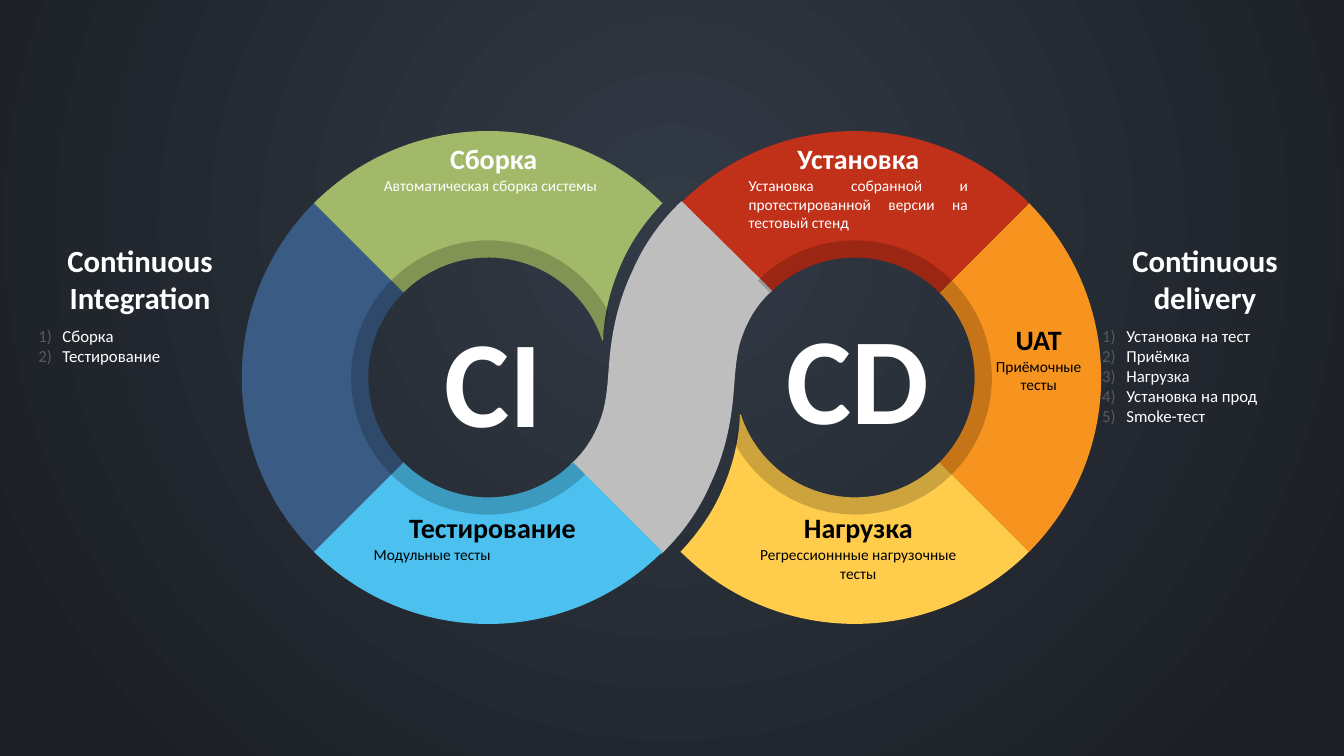
from math import cos, radians, sin, tan
from lxml.etree import SubElement
from pptx import Presentation
from pptx.dml.color import RGBColor
from pptx.enum.text import MSO_ANCHOR, MSO_AUTO_SIZE, PP_ALIGN
from pptx.oxml.ns import qn
from pptx.util import Inches, Pt

COLORS = {
    "center": "323A45", "edge": "1C2026", "white": "FFFFFF", "black": "000000",
    "marker": "595959", "build": "A2B969", "plan": "3A5C84", "test": "4CC1EF",
    "band": "BEBEBE", "install": "C13018", "uat": "F7931F", "load": "FFCC4C",
}
FONT = "Calibri"
INNER, SHADE = 1.19, 1.36
TAIL = [(1.74, -1.74), (1.56, -1.55), (1.41, -1.34), (1.31, -1.1),
        (1.21, -0.87), (1.15, -0.62), (1.14, -0.37)]
BAND_EDGE = [(-1, 0.86), (-0.84, 0.72), (-0.74, 0.54), (-0.68, 0.34), (-0.63, 0.15),
             (-0.63, -0.04), (-0.61, -0.23), (-0.58, -0.52), (-0.51, -0.8),
             (-0.39, -1.05), (-0.28, -1.31), (-0.11, -1.55), (0.1, -1.75)]


def color(name):
    return RGBColor.from_string(COLORS[name])


def arc(radius, start, end):
    half = radians(end - start) / 2
    reach = 4 / 3 * tan(half / 4)
    angles = [radians(start) + half * i for i in range(3)]
    points = [(radius * cos(angles[0]), radius * sin(angles[0]))]
    for a, b in zip(angles, angles[1:]):
        points += [(radius * (cos(a) - reach * sin(a)), radius * (sin(a) + reach * cos(a))),
                   (radius * (cos(b) + reach * sin(b)), radius * (sin(b) - reach * cos(b))),
                   (radius * cos(b), radius * sin(b))]
    return points


def chain(*curves):
    points = list(curves[0])
    for curve in curves[1:]:
        points += [points[-1], curve[0], curve[0]] + curve[1:]
    return points


def reflect(points):
    return [(-x, -y) for x, y in points]


def sector(inner, outer, start, end):
    return chain(arc(outer, start, end), arc(inner, end, start))


def add_outline(slide, center, points, fill, alpha=None):
    places = [(Inches(center[0] + x), Inches(center[1] + y)) for x, y in points]
    builder = slide.shapes.build_freeform(*places[0], scale=1.0)
    builder.add_line_segments(places[1:], close=True)
    shape = builder.convert_to_shape()
    bend_segments(shape)
    shape.shadow.inherit = False
    shape.line.fill.background()
    shape.fill.solid()
    shape.fill.fore_color.rgb = color(fill)
    if alpha:
        fill_color = shape._element.spPr.find(qn("a:solidFill"))[0]
        SubElement(fill_color, qn("a:alpha")).set("val", str(alpha * 1000))


def bend_segments(shape):
    outline = shape._element.find(".//" + qn("a:path"))
    segments = outline.findall(qn("a:lnTo"))
    for first in range(0, len(segments), 3):
        curve = SubElement(outline, qn("a:cubicBezTo"))
        segments[first].addprevious(curve)
        for segment in segments[first:first + 3]:
            curve.append(segment[0])
            outline.remove(segment)


def draw_loop(slide, left, top, width, height):
    radius = height / 2
    middle = (left + width / 2, top + radius)
    ci = (left + radius, middle[1])
    cd = (left + width - radius, middle[1])
    tapered = chain(arc(radius, 225, 315), TAIL, arc(INNER, 342, 225))
    tapered_shade = chain(arc(SHADE, 225, 331), arc(INNER, 342, 225))

    add_outline(slide, cd, reflect(tapered), "load")
    add_outline(slide, cd, sector(INNER, radius, 315, 405), "uat")
    add_outline(slide, cd, sector(INNER, radius, 225, 315), "install")
    add_outline(slide, middle, chain(BAND_EDGE, reflect(BAND_EDGE)), "band")
    add_outline(slide, ci, sector(INNER, radius, 45, 135), "test")
    add_outline(slide, ci, sector(INNER, radius, 135, 225), "plan")
    add_outline(slide, ci, tapered, "build")

    shades = [(ci, tapered_shade), (cd, reflect(tapered_shade))]
    shades += [(center, sector(INNER, SHADE, start, start + 90))
               for center, start in ((cd, 225), (cd, 315), (ci, 135), (ci, 45))]
    for center, points in shades:
        add_outline(slide, center, points, "black", alpha=20)


def add_text(slide, box, lines, size, ink, bold=False, align=PP_ALIGN.CENTER,
             anchor=MSO_ANCHOR.TOP, wrap=True, numbered=False):
    text_box = slide.shapes.add_textbox(*[Inches(length) for length in box])
    frame = text_box.text_frame
    frame.word_wrap = wrap
    frame.auto_size = MSO_AUTO_SIZE.SHAPE_TO_FIT_TEXT
    frame.vertical_anchor = anchor
    frame.margin_left = frame.margin_right = 0
    for index, line in enumerate(lines):
        paragraph = frame.paragraphs[0] if index == 0 else frame.add_paragraph()
        paragraph.alignment = align
        if numbered:
            add_number(paragraph)
        run = paragraph.add_run()
        run.text = line
        run.font.name = FONT
        run.font.size = Pt(size)
        run.font.bold = bold
        run.font.color.rgb = color(ink)


def add_number(paragraph):
    properties = paragraph._p.get_or_add_pPr()
    properties.set("marL", str(Inches(0.24)))
    properties.set("indent", str(Inches(-0.24)))
    marker = SubElement(properties, qn("a:buClr"))
    SubElement(marker, qn("a:srgbClr")).set("val", COLORS["marker"])
    SubElement(properties, qn("a:buAutoNum")).set("type", "arabicParenR")


def draw_caption(slide, left, top, width, height, title, body, ink, align):
    add_text(slide, (left, top, width, 0.43), [title], 20, ink, bold=True,
             anchor=MSO_ANCHOR.BOTTOM)
    add_text(slide, (left, top + 0.34, width, height - 0.34), [body], 11, ink, align=align)


def draw_side_list(slide, left, top, width, height, title, items):
    add_text(slide, (left, top, width, 0.83), [title], 22, "white", bold=True,
             anchor=MSO_ANCHOR.BOTTOM)
    add_text(slide, (left, top + 0.83, width, height - 0.83), items, 12, "white",
             align=PP_ALIGN.JUSTIFY, numbered=True)


def draw_background(slide):
    fill = slide.background.fill
    fill.gradient()
    for stop, name, position in zip(fill.gradient_stops, ("center", "edge"), (0, 1)):
        stop.color.rgb = color(name)
        stop.position = position
    gradient = slide.background._cSld.find(".//" + qn("a:gradFill"))
    gradient.remove(gradient.find(qn("a:lin")))
    circle = SubElement(gradient, qn("a:path"))
    circle.set("path", "circle")
    focus = SubElement(circle, qn("a:fillToRect"))
    for side, percent in zip("ltrb", (50, 30, 50, 70)):
        focus.set(side, str(percent * 1000))


def draw_slide(slide, width, height):
    draw_background(slide)
    draw_loop(slide, 2.4, 1.3, width - 4.81, height - 2.61)
    for box, word in (((4.31, 2.97, 1.17, 1.57), "CI"), ((7.71, 2.94, 1.61, 1.57), "CD")):
        add_text(slide, box, [word], 88, "white", bold=True,
                 anchor=MSO_ANCHOR.MIDDLE, wrap=False)
    draw_side_list(slide, 10.94, 2.35, 2.04, 1.93, "Continuous delivery",
                   ["Установка на тест", "Приёмка", "Нагрузка", "Установка на прод",
                    "Smoke-тест"])
    draw_side_list(slide, 0.38, 2.35, 2.02, 1.33, "Continuous Integration",
                   ["Сборка", "Тестирование"])
    captions = [
        (3.81, 1.36, 2.18, 0.62, "Сборка", "Автоматическая сборка системы",
         "white", PP_ALIGN.JUSTIFY),
        (3.71, 5.02, 2.36, 0.62, "Тестирование", "Модульные тесты",
         "black", PP_ALIGN.JUSTIFY),
        (7.43, 1.36, 2.18, 0.99, "Установка",
         "Установка собранной и протестированной версии на тестовый стенд",
         "white", PP_ALIGN.JUSTIFY),
        (7.43, 5.02, 2.18, 0.81, "Нагрузка", "Регрессионнные нагрузочные тесты",
         "black", PP_ALIGN.CENTER),
        (9.69, 3.15, 1.24, 0.8, "UAT", "Приёмочные тесты", "black", PP_ALIGN.CENTER),
    ]
    for caption in captions:
        draw_caption(slide, *caption)


presentation = Presentation()
presentation.slide_width = Inches(13.34)
presentation.slide_height = Inches(7.5)
draw_slide(presentation.slides.add_slide(presentation.slide_layouts[6]), 13.34, 7.5)
presentation.save("out.pptx")
